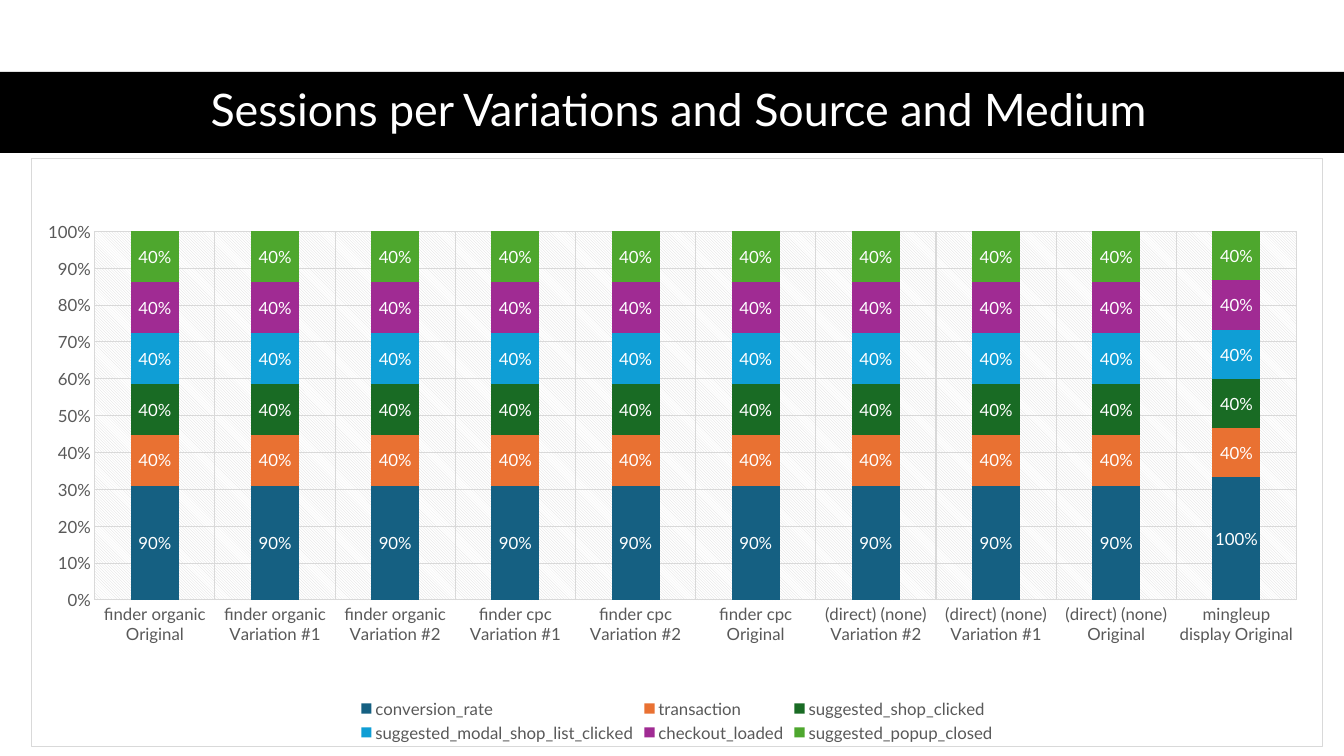
from lxml.etree import fromstring
from pptx import Presentation
from pptx.chart.data import CategoryChartData
from pptx.dml.color import RGBColor
from pptx.enum.chart import XL_CHART_TYPE, XL_LABEL_POSITION, XL_LEGEND_POSITION, XL_TICK_MARK
from pptx.enum.shapes import MSO_SHAPE
from pptx.enum.text import MSO_ANCHOR, PP_ALIGN
from pptx.util import Pt

SCALE = 914400 / 100.8
FONT = "Lato"
HUES = {
    "black": "000000", "white": "FFFFFF", "text": "595959", "line": "D9D9D9",
    "conversion_rate": "156082", "transaction": "E97132",
    "suggested_shop_clicked": "196B24",
    "suggested_modal_shop_list_clicked": "0F9ED5",
    "checkout_loaded": "A02B93", "suggested_popup_closed": "4EA72E",
}
GROUPS = [
    "finder organic Original", "finder organic Variation #1",
    "finder organic Variation #2", "finder cpc Variation #1",
    "finder cpc Variation #2", "finder cpc Original",
    "(direct) (none) Variation #2", "(direct) (none) Variation #1",
    "(direct) (none) Original", "mingleup display Original",
]
RATES = {
    "conversion_rate": [0.9] * 9 + [1],
    **{name: [0.4] * 10 for name in (
        "transaction", "suggested_shop_clicked",
        "suggested_modal_shop_list_clicked", "checkout_loaded",
        "suggested_popup_closed")},
}
SPACES = ('xmlns:c="http://schemas.openxmlformats.org/drawingml/2006/chart" '
          'xmlns:a="http://schemas.openxmlformats.org/drawingml/2006/main"')


def px(n):
    return round(n * SCALE)


def hue(name):
    return RGBColor.from_string(HUES[name])


def style(font, size, color):
    font.name = FONT
    font.size = Pt(size)
    font.color.rgb = hue(color)


def color(name):
    return f'<a:srgbClr val="{HUES[name]}"/>'


def props(fill, border=""):
    return fromstring(f"<c:spPr {SPACES}>{fill}{border}</c:spPr>")


def add_title(slide, x, y, w, h):
    band = slide.shapes.add_shape(MSO_SHAPE.RECTANGLE, px(x), px(y), px(w), px(h))
    band.shadow.inherit = False
    band.fill.solid()
    band.fill.fore_color.rgb = hue("black")
    band.line.fill.background()
    box = slide.shapes.add_textbox(px(x + 61), px(y - 1), px(w - 108), px(h))
    frame = box.text_frame
    frame.word_wrap = True
    frame.vertical_anchor = MSO_ANCHOR.MIDDLE
    para = frame.paragraphs[0]
    para.alignment = PP_ALIGN.CENTER
    para.line_spacing = 0.9
    run = para.add_run()
    run.text = "Sessions per Variations and Source and Medium"
    style(run.font, 32, "white")


def style_axis(axis):
    axis.major_tick_mark = axis.minor_tick_mark = XL_TICK_MARK.NONE
    axis.has_major_gridlines = True
    style(axis.tick_labels.font, 12, "text")
    for line in (axis.format.line, axis.major_gridlines.format.line):
        line.color.rgb = hue("line")
        line.width = Pt(0.75)


def style_series(series):
    series.format.fill.solid()
    series.format.fill.fore_color.rgb = hue(series.name)
    labels = series.data_labels
    labels.show_value = True
    labels.position = XL_LABEL_POSITION.CENTER
    labels.number_format = "0%"
    labels.number_format_is_linked = False
    style(labels.font, 12, "white")


def style_areas(chart):
    root = chart.element
    area = root.chart.plotArea
    for old in area.findall("{*}layout"):
        area.remove(old)
    spots = {"x": 0.049, "y": 0.124, "w": 0.931, "h": 0.627}
    modes = "".join(f'<c:{k}Mode val="edge"/>' for k in "xy")
    sizes = "".join(f'<c:{k} val="{v}"/>' for k, v in spots.items())
    area.insert(0, fromstring(
        f'<c:layout {SPACES}><c:manualLayout><c:layoutTarget val="inner"/>'
        f"{modes}{sizes}</c:manualLayout></c:layout>"))
    area.append(props(
        f'<a:pattFill prst="ltDnDiag"><a:fgClr>{color("line")}</a:fgClr>'
        f'<a:bgClr>{color("white")}</a:bgClr></a:pattFill>'))
    root.chart.addnext(props(
        f'<a:solidFill>{color("white")}</a:solidFill>',
        f'<a:ln w="{Pt(0.75)}"><a:solidFill>{color("line")}</a:solidFill></a:ln>'))


def add_rates(slide, x, y, w, h):
    data = CategoryChartData(number_format="0%")
    data.categories = GROUPS
    for name, rates in RATES.items():
        data.add_series(name, rates)
    chart = slide.shapes.add_chart(
        XL_CHART_TYPE.COLUMN_STACKED_100, px(x), px(y), px(w), px(h), data).chart
    style(chart.font, 10, "black")
    chart.has_title = False
    chart.has_legend = True
    chart.legend.position = XL_LEGEND_POSITION.BOTTOM
    chart.legend.include_in_layout = False
    style(chart.legend.font, 12, "text")
    for axis in (chart.category_axis, chart.value_axis):
        style_axis(axis)
    chart.value_axis.tick_labels.number_format = "0%"
    chart.value_axis.tick_labels.number_format_is_linked = False
    plot = chart.plots[0]
    plot.gap_width = 150
    plot.overlap = 100
    plot.vary_by_categories = False
    for series in plot.series:
        style_series(series)
    style_areas(chart)


def main():
    deck = Presentation()
    deck.slide_width, deck.slide_height = px(1344), px(756)
    slide = deck.slides.add_slide(deck.slide_layouts[6])
    add_title(slide, 0, 72, 1344, 81)
    add_rates(slide, 31, 158, 1292, 589)
    deck.save("out.pptx")


if __name__ == "__main__":
    main()
